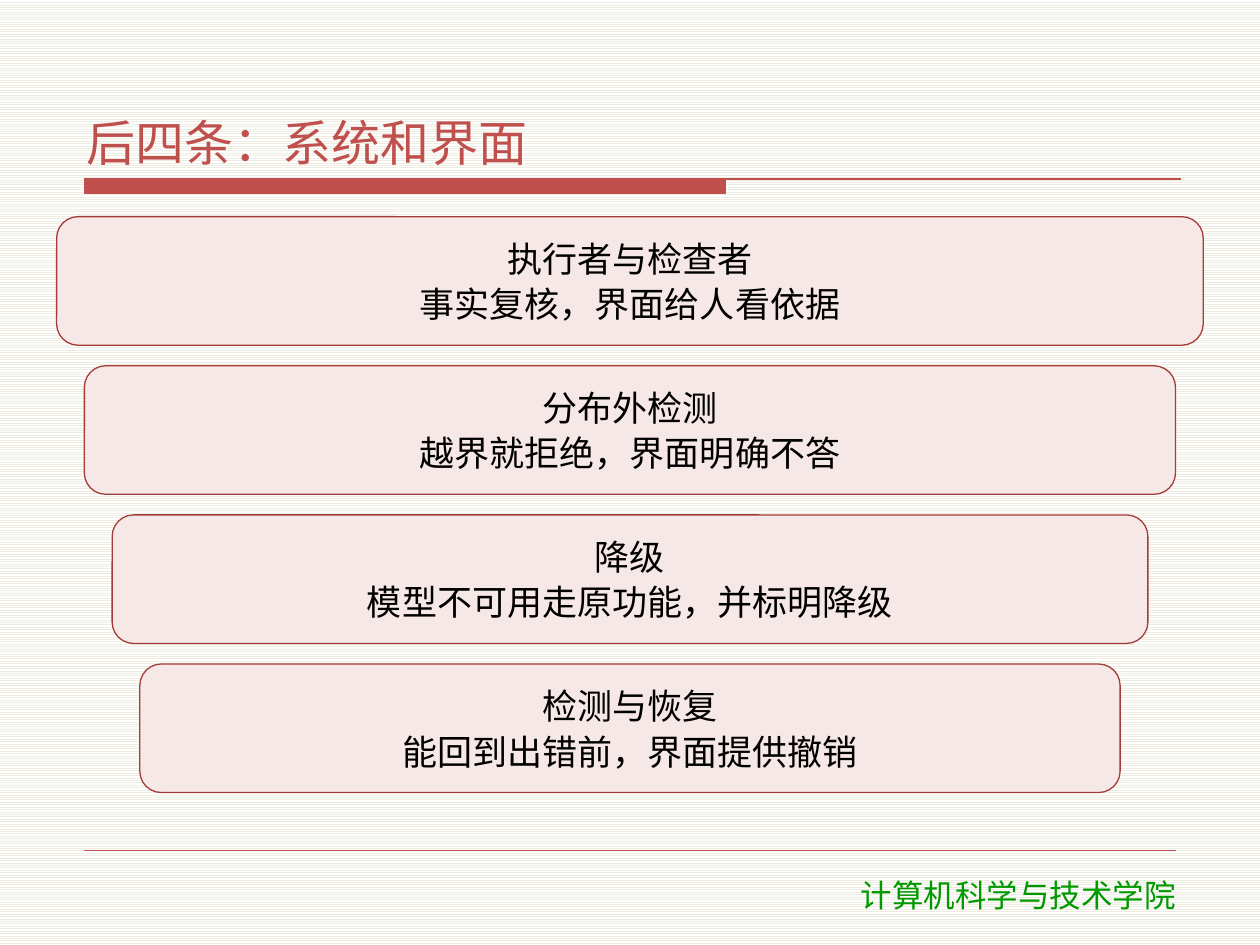
import pptx
import pptx.dml.color
import pptx.enum.dml
import pptx.enum.shapes
import pptx.enum.text
import pptx.oxml.ns
import pptx.util
from lxml import etree

RGBColor = pptx.dml.color.RGBColor
Align = pptx.enum.text.PP_ALIGN
Anchor = pptx.enum.text.MSO_ANCHOR
Pt = pptx.util.Pt

RED = RGBColor(0xC0, 0x50, 0x4D)
DARK_RED = RGBColor(0xA3, 0x3B, 0x38)
PINK = RGBColor(0xF6, 0xE8, 0xE6)
GREEN = RGBColor(0x00, 0x99, 0x00)
CREAM = RGBColor(0xEE, 0xEC, 0xE1)
WHITE = RGBColor(0xFF, 0xFF, 0xFF)
BLACK = RGBColor(0x00, 0x00, 0x00)

CARDS = [
    ("执行者与检查者", "事实复核，界面给人看依据"),
    ("分布外检测", "越界就拒绝，界面明确不答"),
    ("降级", "模型不可用走原功能，并标明降级"),
    ("检测与恢复", "能回到出错前，界面提供撤销"),
]


class Deck:
    """Slide style; positions are percentages of the slide's width and height."""

    font = "Noto Sans CJK SC"
    footer_font = "DejaVu Sans"

    def __init__(self):
        self.prs = pptx.Presentation()
        self.prs.slide_width = pptx.util.Inches(10)
        self.prs.slide_height = pptx.util.Inches(7.5)
        self.s = None

    def x(self, share):
        return round(self.prs.slide_width * share / 100)

    def y(self, share):
        return round(self.prs.slide_height * share / 100)

    def box(self, left, top, width, height):
        return self.x(left), self.y(top), self.x(width), self.y(height)

    def add_slide(self):
        self.s = self.prs.slides.add_slide(self.prs.slide_layouts[5])
        fill = self.s.background.fill
        fill.patterned()
        fill.pattern = pptx.enum.dml.MSO_PATTERN.LIGHT_HORIZONTAL
        fill.fore_color.rgb = CREAM
        fill.back_color.rgb = WHITE

    def set_lines(self, tf, lines, size, color, align, font=font, after=0):
        for i, line in enumerate(lines):
            p = tf.paragraphs[0] if i == 0 else tf.add_paragraph()
            p.text = line
            p.alignment = align
            p.space_before = Pt(0)
            p.space_after = Pt(after)
            p.font.name = font
            p.font.size = Pt(size)
            p.font.color.rgb = color

    def frame(self, tf, anchor):
        tf.word_wrap = True
        tf.auto_size = pptx.enum.text.MSO_AUTO_SIZE.NONE
        tf.vertical_anchor = anchor
        tf.margin_left = tf.margin_right = pptx.util.Inches(0.06)
        tf.margin_top = tf.margin_bottom = pptx.util.Inches(0.02)

    def title(self, text, *place):
        sp = self.s.shapes.title
        sp.left, sp.top, sp.width, sp.height = self.box(*place)
        self.frame(sp.text_frame, Anchor.BOTTOM)
        self.set_lines(sp.text_frame, [text], 28, RED, Align.LEFT, after=2)

    def bar(self, left, top, width, height):
        right, bottom = self.x(left + width), self.y(top + height)
        left, top = self.x(left), self.y(top)
        builder = self.s.shapes.build_freeform(left, top)
        builder.add_line_segments([(right, top), (right, bottom), (left, bottom)])
        sp = builder.convert_to_shape()
        sp.shadow.inherit = False
        sp.fill.solid()
        sp.fill.fore_color.rgb = RED
        sp.line.fill.background()

    def rule(self, left, right, top, weight):
        line = self.s.shapes.add_connector(
            pptx.enum.shapes.MSO_CONNECTOR.STRAIGHT,
            self.x(left), self.y(top), self.x(right), self.y(top))
        line.line.color.rgb = RED
        line.line.width = Pt(weight)
        etree.SubElement(line._element.spPr, pptx.oxml.ns.qn("a:effectLst"))

    def card(self, lines, *place):
        sp = self.s.shapes.add_shape(
            pptx.enum.shapes.MSO_SHAPE.ROUNDED_RECTANGLE, *self.box(*place))
        sp.shadow.inherit = False
        sp.fill.solid()
        sp.fill.fore_color.rgb = PINK
        sp.line.color.rgb = DARK_RED
        sp.line.width = Pt(0.75)
        self.frame(sp.text_frame, Anchor.MIDDLE)
        self.set_lines(sp.text_frame, lines, 20, BLACK, Align.CENTER, after=2)

    def footer(self, text, *place):
        tf = self.s.shapes.add_textbox(*self.box(*place)).text_frame
        tf.word_wrap = True
        tf.auto_size = pptx.enum.text.MSO_AUTO_SIZE.SHAPE_TO_FIT_TEXT
        self.set_lines(tf, [text], 18, GREEN, Align.CENTER, font=self.footer_font)


def main():
    deck = Deck()
    deck.add_slide()
    deck.bar(6.7, 18.93, 50.9, 1.6)
    deck.rule(6.7, 93.7, 18.93, 0.75)
    deck.rule(6.7, 93.3, 90, 0.25)
    deck.footer("计算机科学与技术学院", 60.7, 92, 40.2, 5.33)
    deck.title("后四条：系统和界面", 6.3, 4.4, 87.5, 14)

    inset, step, pitch = 4.5, 2.2, 15.78
    for i, lines in enumerate(CARDS):
        left = inset + i * step
        deck.card(lines, left, 22.93 + i * pitch, 100 - 2 * left, 13.6)

    deck.prs.save("out.pptx")


if __name__ == "__main__":
    main()
